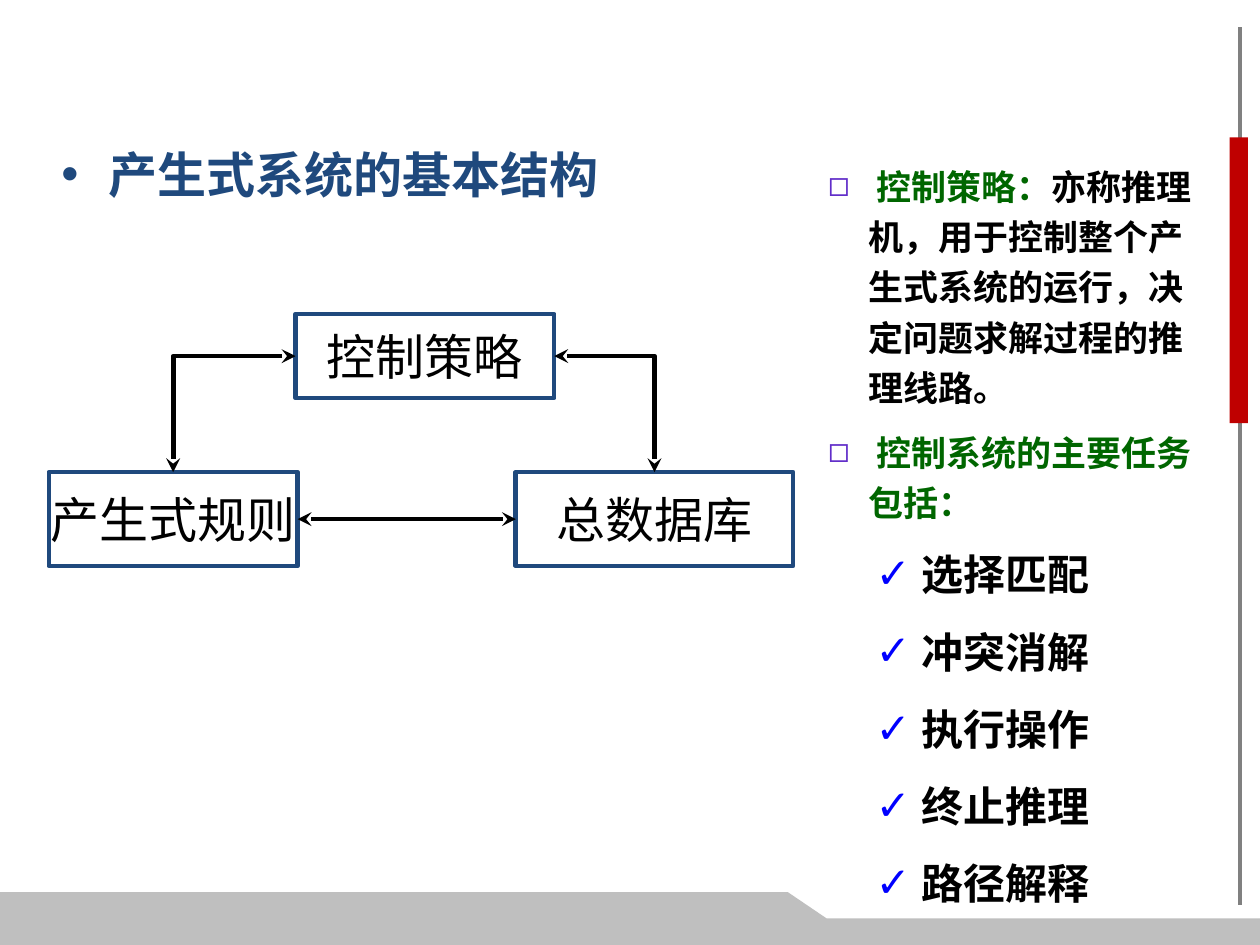
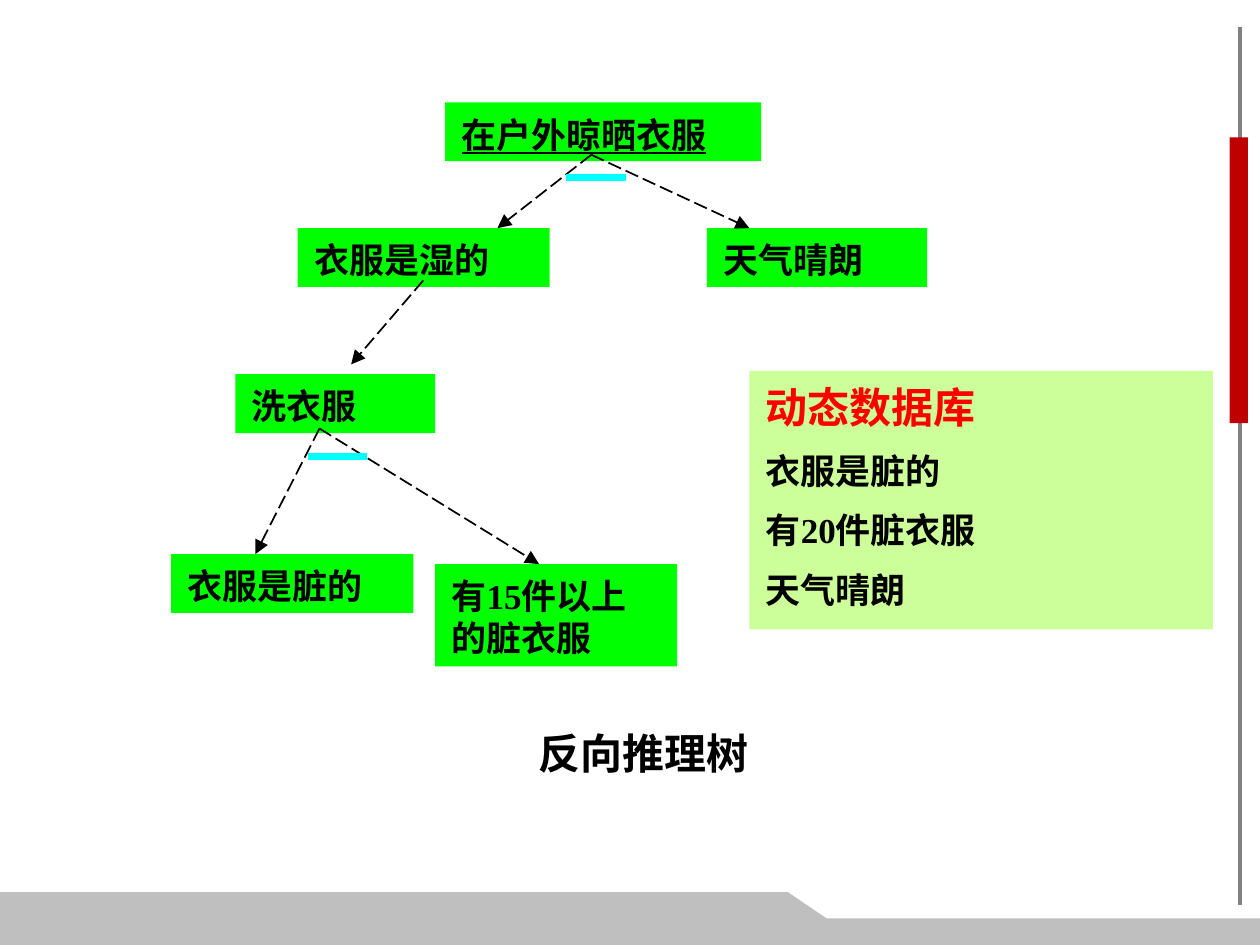
from lxml import etree
from pptx import Presentation
from pptx.dml.color import RGBColor
from pptx.enum.dml import MSO_LINE
from pptx.enum.shapes import MSO_CONNECTOR, MSO_SHAPE
from pptx.enum.text import MSO_ANCHOR, PP_ALIGN
from pptx.oxml.ns import qn
from pptx.util import Cm, Pt

RECT = MSO_SHAPE.RECTANGLE
STRAIGHT, ELBOW = MSO_CONNECTOR.STRAIGHT, MSO_CONNECTOR.ELBOW
LEFT, CENTER = PP_ALIGN.LEFT, PP_ALIGN.CENTER
TOP, MIDDLE = MSO_ANCHOR.TOP, MSO_ANCHOR.MIDDLE
SIDE = {"top": 0, "left": 1, "bottom": 2, "right": 3}

C = {
    "black": "000000", "navy": "1F497D", "gray": "808080", "band": "BFBFBF",
    "bar": "BF0000", "green": "006600", "purple": "612DC9", "blue": "0000FF",
    "lime": "00FF00", "cyan": "00FFFF", "pale": "CCFF99", "red": "FF0000",
}
CJK, SANS, SERIF = "Noto Sans CJK SC", "Arial", "Times New Roman"

RAIL = ((18.75, 0.41), (18.75, 13.69))
BAR = (18.59, 2.08, 0.28, 4.32)
BAND = [(0, 13.49), (11.91, 13.49), (12.5, 13.89), (19.05, 13.89),
        (19.05, 14.29), (0, 14.29)]

HEADING = "产生式系统的基本结构"
PARTS = {
    "control": ("控制策略", (4.47, 4.75, 3.91, 1.27)),
    "rules": ("产生式规则", (0.74, 7.14, 3.76, 1.42)),
    "database": ("总数据库", (7.8, 7.14, 4.19, 1.42)),
}
LINKS = [
    (STRAIGHT, "database", "left", "rules", "right"),
    (ELBOW, "control", "right", "database", "top"),
    (ELBOW, "control", "left", "rules", "top"),
]
POINTS = [
    [(" 控制策略：", "green"),
     ("亦称推理机，用于控制整个产生式系统的运行，决定问题求解过程的推理线路。", "black")],
    [(" 控制系统的主要任务包括：", "green")],
]
TASKS = ["选择匹配", "冲突消解", "执行操作", "终止推理", "路径解释"]

FACTS = [
    ("在户外晾晒衣服", (6.73, 1.55, 4.78, 0.89)),
    ("衣服是湿的", (4.5, 3.45, 3.81, 0.89)),
    ("天气晴朗", (10.69, 3.45, 3.33, 0.89)),
    ("洗衣服", (3.56, 5.66, 3.02, 0.89)),
    ("衣服是脏的", (2.59, 8.38, 3.66, 0.89)),
    ("有15件以上的脏衣服", (6.58, 8.53, 3.66, 1.55)),
]
BRANCHES = [
    ((8.94, 2.34), [(7.52, 3.45), (11.33, 3.45)]),
    ((6.4, 4.24), [(5.31, 5.51)]),
    ((4.83, 6.48), [(3.86, 8.38), (8.15, 8.53)]),
]
AND_MARKS = [(8.56, 2.69), (4.65, 6.91)]
AND_WIDTH = 0.9
DATA_TITLE = "动态数据库"
DATA = ["衣服是脏的", "有20件脏衣服", "天气晴朗"]
CAPTION = "反向推理树"


def rgb(name):
    return RGBColor.from_string(C[name])


def add_rect(s, box, fill=None, line=None):
    sp = s.shapes.add_shape(RECT, *map(Cm, box))
    sp.shadow.inherit = False
    paint(sp, fill, line)
    return sp


def paint(sp, fill, line=None):
    if fill:
        sp.fill.solid()
        sp.fill.fore_color.rgb = rgb(fill)
    else:
        sp.fill.background()
    if line:
        sp.line.color.rgb = rgb(line)
        sp.line.width = Pt(2)
    else:
        sp.line.fill.background()


def add_line(s, start, end, color, width, kind=STRAIGHT, dash=None, **ends):
    cn = s.shapes.add_connector(kind, *map(Cm, start + end))
    cn.line.color.rgb = rgb(color)
    cn.line.width = Pt(width)
    if dash:
        cn.line.dash_style = dash
    ln = cn.line._get_or_add_ln()
    for tag in ("headEnd", "tailEnd"):
        if tag in ends:
            etree.SubElement(ln, qn("a:" + tag), type=ends[tag])
    etree.SubElement(cn._element.spPr, qn("a:effectLst"))
    return cn


def frame(sp, wrap=True, anchor=TOP, side=0.25, top=0.16, bottom=0.13):
    tf = sp.text_frame
    tf.word_wrap = wrap
    tf.vertical_anchor = anchor
    tf.margin_left = tf.margin_right = Cm(side)
    tf.margin_top, tf.margin_bottom = Cm(top), Cm(bottom)
    return tf


def add_para(tf, runs, size, font, bold=True, align=LEFT, pitch=None,
             before=0, after=0, underline=False):
    first = not tf.paragraphs[0].runs
    p = tf.paragraphs[0] if first else tf.add_paragraph()
    p.alignment = align
    p.space_before = Pt(0 if first else before)
    p.space_after = Pt(after)
    if pitch:
        p.line_spacing = Pt(round(size * pitch, 1))
    for text, color in runs:
        r = p.add_run()
        r.text = text
        f = r.font
        f.size, f.bold, f.name = Pt(size), bold, font
        f.underline = underline or None
        f.color.rgb = rgb(color)
        etree.SubElement(r._r.get_or_add_rPr(), qn("a:ea"), typeface=CJK)
    return p


def add_bullet(p, char, color, margin, hang):
    pPr = p._p.get_or_add_pPr()
    pPr.set("marL", str(Cm(margin)))
    pPr.set("indent", str(-Cm(hang)))
    clr = etree.SubElement(pPr, qn("a:buClr"))
    etree.SubElement(clr, qn("a:srgbClr"), val=C[color])
    etree.SubElement(pPr, qn("a:buFont"), typeface=SANS)
    etree.SubElement(pPr, qn("a:buChar"), char=char)


def new_slide(prs):
    s = prs.slides.add_slide(prs.slide_layouts[6])
    add_line(s, *RAIL, "gray", 1.5)
    points = [(Cm(x), Cm(y)) for x, y in BAND]
    fb = s.shapes.build_freeform(*points[0])
    fb.add_line_segments(points[1:])
    band = fb.convert_to_shape()
    band.shadow.inherit = False
    paint(band, "band")
    add_rect(s, BAR, "bar")
    return s


def structure_slide(prs):
    s = new_slide(prs)
    heading = s.shapes.add_textbox(Cm(0.74), Cm(2.13), Cm(11.2), Cm(1.4))
    p = add_para(frame(heading, side=0.19, top=0.05), [(HEADING, "navy")], 21, CJK)
    add_bullet(p, "•", "navy", 0.71, 0.71)

    boxes = {}
    for key, (label, box) in PARTS.items():
        boxes[key] = add_rect(s, box, line="navy")
        tf = frame(boxes[key], wrap=False, anchor=MIDDLE, top=0.13)
        add_para(tf, [(label, "black")], 21, SANS, bold=False, align=CENTER)
    for kind, a, a_side, b, b_side in LINKS:
        cn = add_line(s, (0, 0), (1, 1), "black", 2, kind,
                      headEnd="stealth", tailEnd="stealth")
        cn.begin_connect(boxes[a], SIDE[a_side])
        cn.end_connect(boxes[b], SIDE[b_side])
        if kind == ELBOW:
            cn._element.spPr.find(qn("a:prstGeom")).set("prst", "bentConnector2")

    notes = s.shapes.add_textbox(Cm(12.27), Cm(2.21), Cm(6.2), Cm(11.25))
    tf = frame(notes)
    for runs in POINTS:
        p = add_para(tf, runs, 15, SANS, pitch=1.44, before=3, after=3)
        add_bullet(p, "◻", "purple", 0.61, 0.61)
    for task in TASKS:
        p = add_para(tf, [(" " + task, "black")], 18, SANS, pitch=1.44,
                     before=3.6, after=3.6)
        add_bullet(p, "✓", "blue", 1.27, 0.55)


def tree_slide(prs):
    s = new_slide(prs)
    for i, (fact, box) in enumerate(FACTS):
        tf = frame(add_rect(s, box, "lime"))
        add_para(tf, [(fact, "black")], 15, SERIF, pitch=1.2, underline=i == 0)
    for start, targets in BRANCHES:
        for end in targets:
            add_line(s, start, end, "black", 0.75, dash=MSO_LINE.LONG_DASH,
                     tailEnd="triangle")
    for x, y in AND_MARKS:
        add_line(s, (x, y), (x + AND_WIDTH, y), "cyan", 3)

    caption = s.shapes.add_textbox(Cm(7.87), Cm(10.8), Cm(3.73), Cm(1.02))
    add_para(frame(caption, wrap=False, top=0.2), [(CAPTION, "black")], 18, SERIF,
             align=CENTER, pitch=1.2)

    tf = frame(add_rect(s, (11.33, 5.61, 7.01, 3.91), "pale"))
    add_para(tf, [(DATA_TITLE, "red")], 18, SERIF, pitch=1.2)
    for fact in DATA:
        add_para(tf, [(fact, "black")], 15, SERIF, pitch=1.2, before=7.5)


def main():
    prs = Presentation()
    prs.slide_width, prs.slide_height = Cm(19.05), Cm(14.29)
    structure_slide(prs)
    tree_slide(prs)
    prs.save("out.pptx")


if __name__ == "__main__":
    main()
